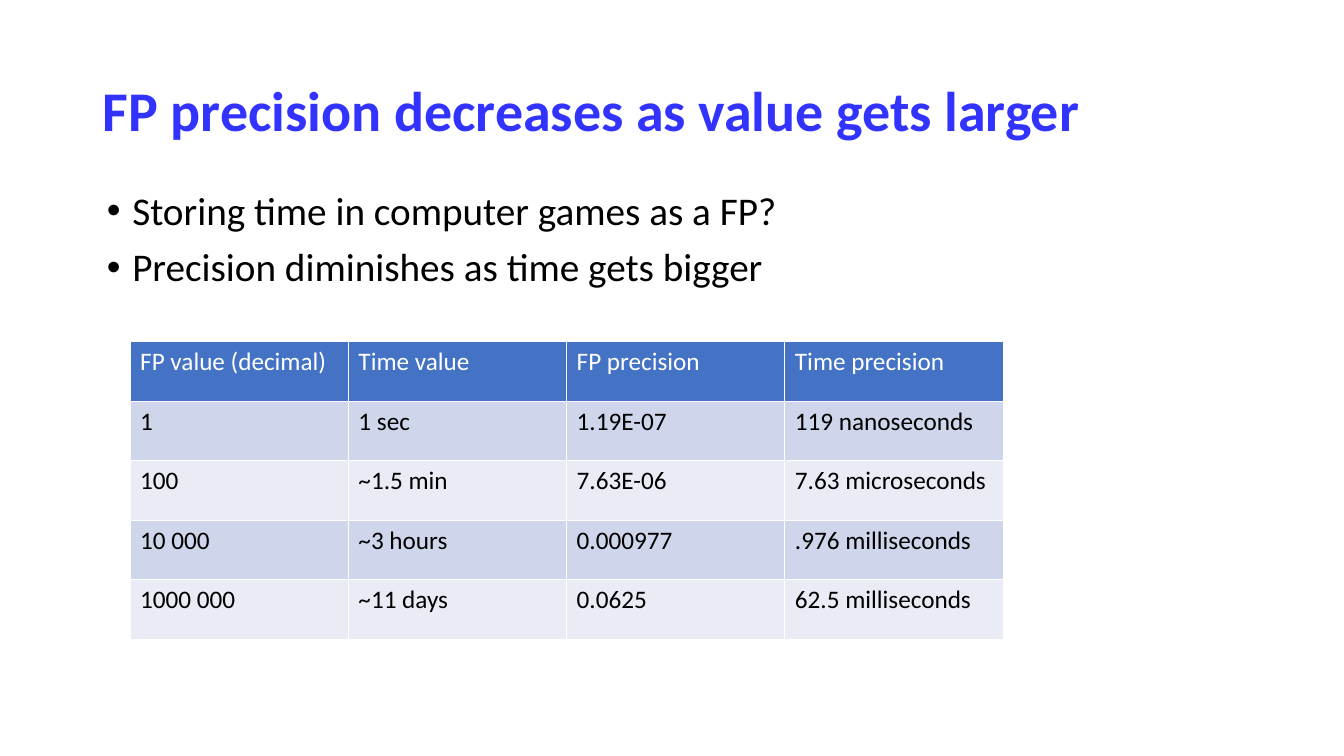
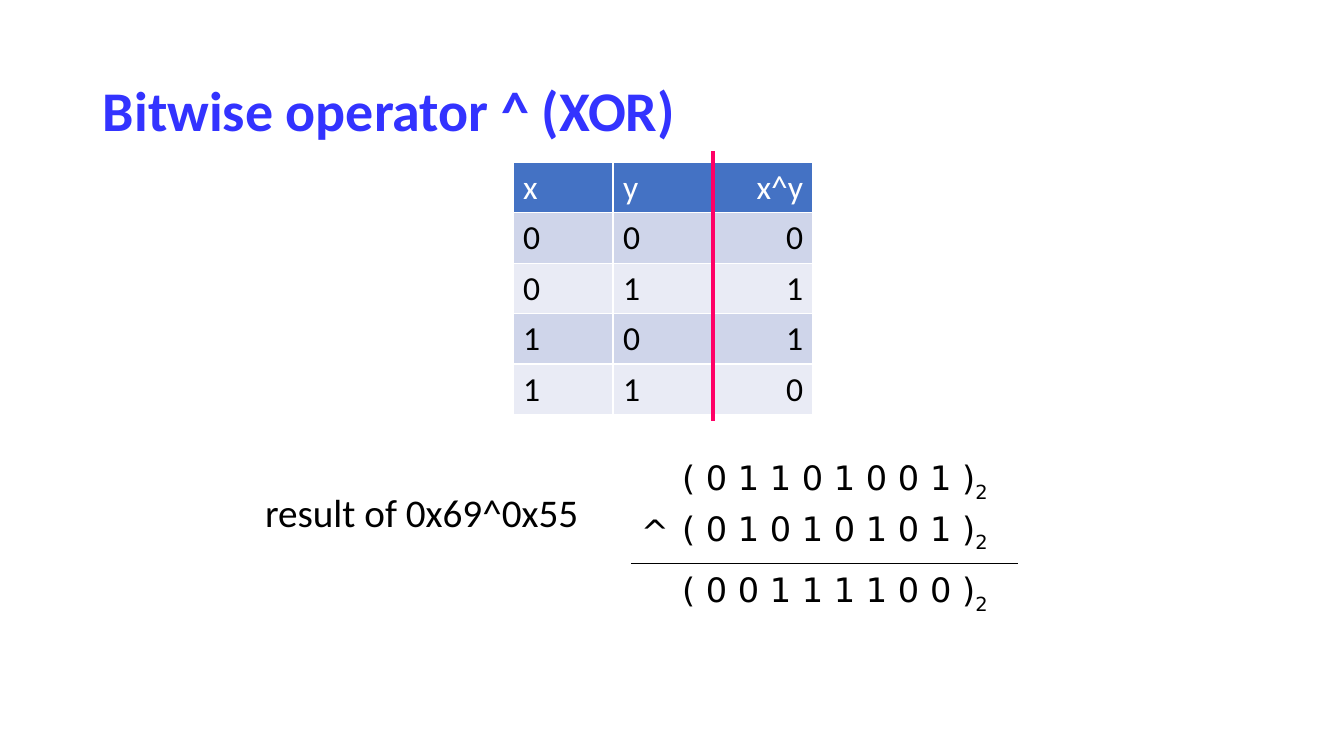
from dataclasses import dataclass

from lxml.etree import SubElement
from pptx import Presentation
from pptx.dml.color import RGBColor as Rgb
from pptx.enum.shapes import MSO_CONNECTOR as Connector
from pptx.enum.text import MSO_ANCHOR as Anchor, MSO_AUTO_SIZE as AutoSize, PP_ALIGN as Align
from pptx.oxml.ns import qn
from pptx.util import Cm, Pt


@dataclass(frozen=True)
class Theme:
    title: Rgb = Rgb(0x33, 0x33, 0xFF)
    ink: Rgb = Rgb(0, 0, 0)
    header_ink: Rgb = Rgb(0xFF, 0xFF, 0xFF)
    header_fill: Rgb = Rgb(0x44, 0x72, 0xC4)
    bands: tuple = (Rgb(0xCF, 0xD5, 0xEA), Rgb(0xE9, 0xEB, 0xF5))
    divider: Rgb = Rgb(0xFF, 0x00, 0x66)
    font: str = "Calibri"
    digit_font: str = "DejaVu Sans"
    title_size: int = 40
    body_size: int = 28
    digit_size: int = 24
    truth_size: int = 24
    table_size: int = 18


THEME = Theme()

# Content
PRECISION_TITLE = "FP precision decreases as value gets larger"
PRECISION_POINTS = [
    "Storing time in computer games as a FP?",
    "Precision diminishes as time gets bigger",
]
PRECISION_ROWS = [
    ("FP value (decimal)", "Time value", "FP precision", "Time precision"),
    ("1", "1 sec", "1.19E-07", "119 nanoseconds"),
    ("100", "~1.5 min", "7.63E-06", "7.63 microseconds"),
    ("10 000", "~3 hours", "0.000977", ".976 milliseconds"),
    ("1000 000", "~11 days", "0.0625", "62.5 milliseconds"),
]
XOR_TITLE = "Bitwise operator ^ (XOR)"
XOR_ROWS = [("x", "y", "x^y")] + [
    (str(x), str(y), str(x ^ y)) for x in (0, 1) for y in (0, 1)
]
XOR_CAPTION = "result of 0x69^0x55"
# Each binary number with its top edge in cm
XOR_NUMBERS = [
    ("( 0 1 1 0 1 0 0 1 )", 11.4),
    ("( 0 1 0 1 0 1 0 1 )", 12.67),
    ("( 0 0 1 1 1 1 0 0 )", 14.22),
]


# Shared parts
def style(font, size, color, name=THEME.font, bold=False):
    font.size, font.name, font.bold = Pt(size), name, bold
    font.color.rgb = color


def place(shape, left, top, width, height):
    shape.left, shape.top = Cm(left), Cm(top)
    shape.width, shape.height = Cm(width), Cm(height)


def add_page(deck, layout, title):
    page = deck.slides.add_slide(deck.slide_layouts.get_by_name(layout))
    place(page.shapes.title, 2.34, 1.02, 29.21, 3.68)
    frame = page.shapes.title.text_frame
    frame.text = title
    frame.auto_size, frame.vertical_anchor = AutoSize.NONE, Anchor.MIDDLE
    para = frame.paragraphs[0]
    para.alignment, para.line_spacing = Align.LEFT, 0.9
    style(para.runs[0].font, THEME.title_size, THEME.title, bold=True)
    return page


def fill_points(body, points):
    frame = body.text_frame
    frame.text = "\n".join(points)
    frame.auto_size = AutoSize.NONE
    for index, para in enumerate(frame.paragraphs):
        props = para._p.get_or_add_pPr()
        props.set("marL", str(Cm(0.64)))
        props.set("indent", str(-Cm(0.64)))
        para.line_spacing = 0.9
        para.space_before = Pt(10 if index else 0)
        style(para.runs[0].font, THEME.body_size, THEME.ink)


def add_grid(page, rows, left, top, column, row_height, size, right_column=None):
    columns = len(rows[0])
    table = page.shapes.add_table(
        len(rows), columns, Cm(left), Cm(top),
        Cm(column * columns), Cm(row_height * len(rows))).table
    for row, values in enumerate(rows):
        for col, value in enumerate(values):
            cell = table.cell(row, col)
            cell.text = value
            cell.fill.solid()
            cell.fill.fore_color.rgb = THEME.bands[(row - 1) % 2] if row else THEME.header_fill
            para = cell.text_frame.paragraphs[0]
            if col == right_column:
                para.alignment = Align.RIGHT
            style(para.runs[0].font, size, THEME.ink if row else THEME.header_ink)


def add_label(page, text, left, top, width, height, size, name, subscript=""):
    box = page.shapes.add_textbox(Cm(left), Cm(top), Cm(width), Cm(height))
    frame = box.text_frame
    frame.text = text
    frame.word_wrap, frame.auto_size = False, AutoSize.SHAPE_TO_FIT_TEXT
    para = frame.paragraphs[0]
    if subscript:
        span = para.add_run()
        span.text = subscript
        span._r.get_or_add_rPr().set("baseline", "-25000")
    for span in para.runs:
        style(span.font, size, THEME.ink, name)


def add_rule(page, start, end, color, width):
    rule = page.shapes.add_connector(
        Connector.STRAIGHT, *(Cm(value) for value in start + end))
    rule.line.color.rgb, rule.line.width = color, Pt(width)
    SubElement(rule._element.spPr, qn("a:effectLst"))


# Slides
def precision_page(deck):
    page = add_page(deck, "Title and Content", PRECISION_TITLE)
    body = page.placeholders[1]
    place(body, 2.44, 4.7, 22.86, 3.91)
    fill_points(body, PRECISION_POINTS)
    add_grid(page, PRECISION_ROWS, 3.28, 8.61, 5.5, 1.5, THEME.table_size)


def xor_page(deck):
    page = add_page(deck, "Title Only", XOR_TITLE)
    # Worked example
    add_label(page, XOR_CAPTION, 6.43, 12.17, 8.51, 1.45, THEME.body_size, THEME.font)
    for digits, top in XOR_NUMBERS:
        add_label(page, digits, 16.94, top, 8.92, 1.27,
                  THEME.digit_size, THEME.digit_font, subscript="2")
    add_label(page, "^", 15.9, 12.75, 1.22, 1.27, THEME.digit_size, THEME.digit_font)
    add_rule(page, (15.9, 14.2), (25.65, 14.2), THEME.ink, 1)
    # Truth table, with the result column set apart
    left, column = 12.93, 2.52
    add_grid(page, XOR_ROWS, left, 4.09, column, 1.27, THEME.truth_size, right_column=2)
    divider = left + 2 * column
    add_rule(page, (divider, 3.81), (divider, 10.62), THEME.divider, 3)


def main():
    deck = Presentation()
    deck.slide_width, deck.slide_height = Cm(33.87), Cm(19.05)
    precision_page(deck)
    xor_page(deck)
    deck.save("out.pptx")


if __name__ == "__main__":
    main()
